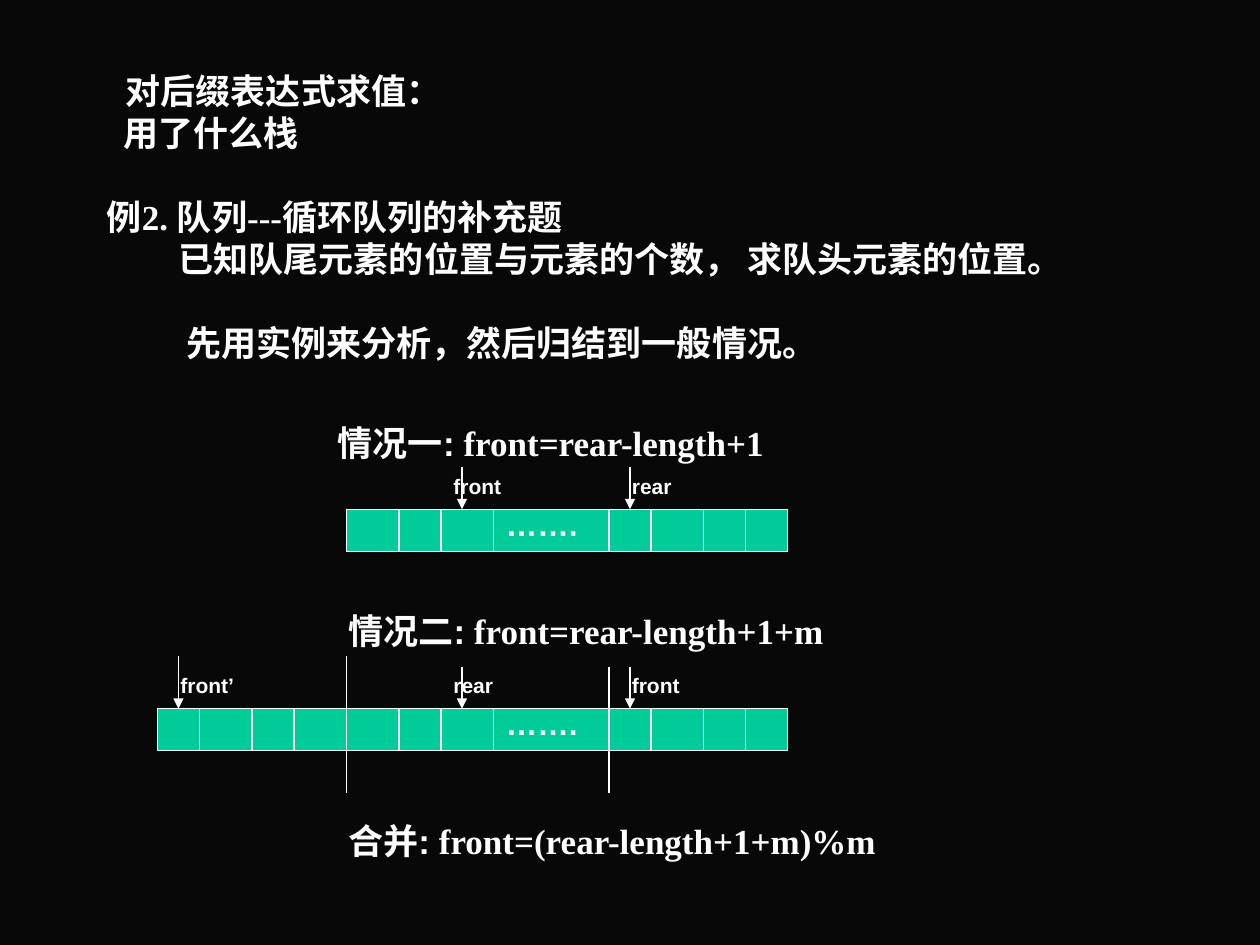
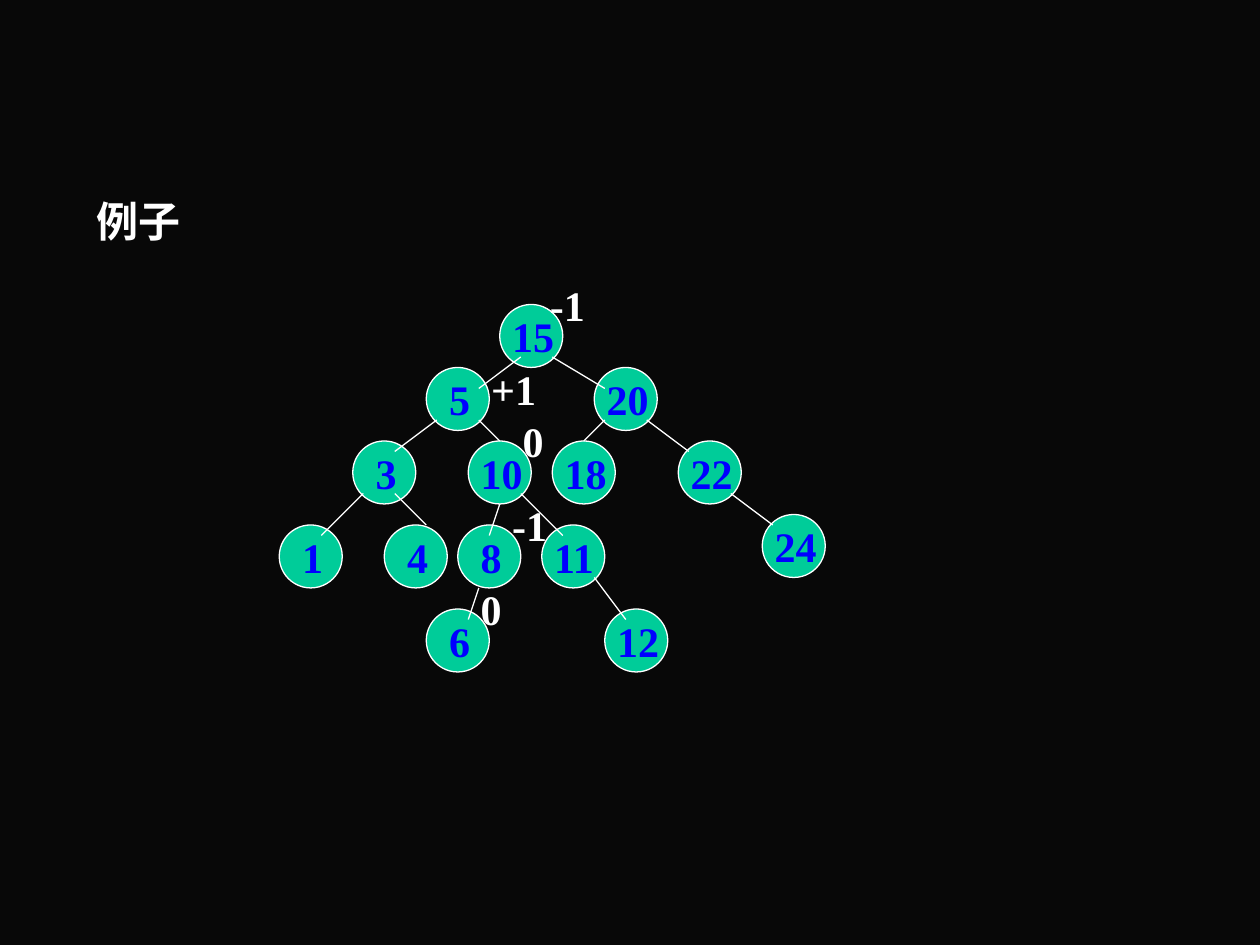
"""Builds two slides: circular queue positions and a balanced search tree."""
from dataclasses import dataclass

from lxml import etree
from pptx import Presentation
from pptx.dml.color import RGBColor
from pptx.enum.shapes import MSO_CONNECTOR, MSO_SHAPE
from pptx.oxml.ns import qn
from pptx.util import Inches, Pt

BAR = MSO_SHAPE.RECTANGLE
NODE = MSO_SHAPE.FLOWCHART_CONNECTOR
STRAIGHT = MSO_CONNECTOR.STRAIGHT
UNIT = Inches(1) / 12


@dataclass(frozen=True)
class Theme:
    ground: RGBColor = RGBColor(0x08, 0x08, 0x08)
    ink: RGBColor = RGBColor(0xFF, 0xFF, 0xFF)
    cell: RGBColor = RGBColor(0x00, 0xCC, 0x99)
    key: RGBColor = RGBColor(0x00, 0x00, 0xFF)
    serif: str = "Times New Roman"
    sans: str = "Arial"
    large: int = 24
    body: int = 20
    dots: int = 18
    small: int = 12
    rule: float = 0.75


THEME = Theme()


def write(slide, text, col, row, cols, rows, *, lead="", font=THEME.serif, size=THEME.large,
          color=THEME.ink, wrap=True, top=0.05, layout=()):
    box = slide.shapes.add_textbox(*(round(n * UNIT) for n in (col, row, cols, rows)))
    frame = box.text_frame
    frame.word_wrap = wrap
    frame.margin_top = Inches(top)
    for index, line in enumerate(text.split("\n")):
        paragraph = frame.paragraphs[0] if index == 0 else frame.add_paragraph()
        if layout:
            indent, gap = layout[index]
            properties = paragraph._p.get_or_add_pPr()
            properties.set("marL", str(Inches(indent)))
            properties.set("indent", "0")
            if gap:
                paragraph.space_before = Pt(gap)
        for words, face in ((lead, THEME.sans), (line, font)):
            if words:
                run = paragraph.add_run()
                run.text = words
                run.font.name = face
                run.font.size = Pt(size)
                run.font.bold = True
                run.font.color.rgb = color


def draw(slide, col, row, cols, rows, preset=None, arrow=False):
    if preset is None:
        item = slide.shapes.add_connector(
            STRAIGHT, *(round(n * UNIT) for n in (col, row, col + cols, row + rows)))
    else:
        item = slide.shapes.add_shape(preset, *(round(n * UNIT) for n in (col, row, cols, rows)))
        item.shadow.inherit = False
        item.fill.solid()
        item.fill.fore_color.rgb = THEME.cell
    item.line.color.rgb = THEME.ink
    item.line.width = Pt(THEME.rule)
    if arrow:
        etree.SubElement(item.line._get_or_add_ln(), qn("a:tailEnd"), type="triangle")
    if preset is None:
        etree.SubElement(item._element.spPr, qn("a:effectLst"))


deck = Presentation()
deck.slide_width, deck.slide_height = Inches(10), Inches(7.5)
queue, tree = (deck.slides.add_slide(deck.slide_layouts[6]) for _ in range(2))
for slide in (queue, tree):
    slide.background.fill.solid()
    slide.background.fill.fore_color.rgb = THEME.ground

problem = """对后缀表达式求值：
用了什么栈
例2. 队列---循环队列的补充题
已知队尾元素的位置与元素的个数， 求队头元素的位置。
先用实例来分析，然后归结到一般情况。"""
write(queue, problem, 9, 5.3, 102, 33, size=THEME.body, top=0.11,
      layout=((0.15, 0), (0.13, 0), (0, 24), (0.57, 0), (0.63, 24)))

BAR_ROWS = 4
PLAIN_ROW, WRAPPED_ROW = 48.5, 67.5
RING = (33, 75, (38, 42, 47, 58, 62, 67, 71))
UNROLLED = (15, 33, (19, 24, 28))
for row, (start, end, dividers) in ((PLAIN_ROW, RING), (WRAPPED_ROW, RING), (WRAPPED_ROW, UNROLLED)):
    draw(queue, start, row, end - start, BAR_ROWS, preset=BAR)
    for col in dividers:
        draw(queue, col, row, 0, BAR_ROWS)

for row in (PLAIN_ROW, WRAPPED_ROW):
    write(queue, "…….", 47, row - 1, 11, 4.8, font=THEME.sans, size=THEME.dots)

for pointer, row, col, label_col, reach in (
        ("front", PLAIN_ROW, 44, 42, 4), ("rear", PLAIN_ROW, 60, 59, 4),
        ("rear", WRAPPED_ROW, 44, 42, 4), ("front", WRAPPED_ROW, 60, 59, 4),
        ("front’", WRAPPED_ROW, 17, 16, 5)):
    draw(queue, col, row - reach, 0, reach, arrow=True)
    write(queue, pointer, label_col, row - 4, 8, 3.6, font=THEME.sans, size=THEME.small)

for col, row in ((33, 62.5), (58, 63.5)):
    draw(queue, col, row, 0, 75.5 - row)

for case, formula, col, row, cols in (
        ("情况一:", " front=rear-length+1", 31, 39.6, 52),
        ("情况二:", " front=rear-length+1+m", 32, 57.5, 52),
        ("合并:", " front=(rear-length+1+m)%m", 32, 77.5, 59)):
    write(queue, formula, col, row, cols, 5.3, lead=case, size=THEME.body)

write(tree, "例子", 8, 18, 102, 62)

SHIFT = 0.6
DIAMETER = 6
keys = {15: (47, 29), 5: (40, 35), 20: (56, 35), 3: (33, 42), 10: (44, 42), 18: (52, 42),
        22: (64, 42), 1: (26, 50), 4: (36, 50), 8: (43, 50), 11: (51, 50), 24: (72, 49),
        6: (40, 58), 12: (57, 58)}
branches = ((52, 34, 57, 37), (61, 40, 65, 43), (69, 47, 73, 50), (49, 34, 45, 37),
            (41, 40, 37, 43), (34, 47, 30, 51), (45, 40, 47, 42), (57, 40, 55, 42),
            (37, 47, 40, 50), (47, 48, 46, 51), (49, 47, 53, 51), (56, 55, 59, 59),
            (45, 56, 44, 59))
balances = (("+1", 45, 34, 6.8), ("0", 44, 55, 4.4), ("-1", 47, 47, 5.8),
            ("0", 48, 39, 4.4), ("-1", 50.6, 26, 5.8))

for col, row in keys.values():
    draw(tree, col + SHIFT, row, DIAMETER, DIAMETER, preset=NODE)
for col, row, end_col, end_row in branches:
    draw(tree, col + SHIFT, row, end_col - col, end_row - row)
for key, (col, row) in keys.items():
    nudge, cols = (1, 4.4) if key < 10 else (0, 6.4)
    write(tree, str(key), col + SHIFT + nudge, row, cols, DIAMETER, color=THEME.key, wrap=False)
for balance, col, row, cols in balances:
    write(tree, balance, col + SHIFT, row, cols, DIAMETER, wrap=False)

deck.save("out.pptx")
